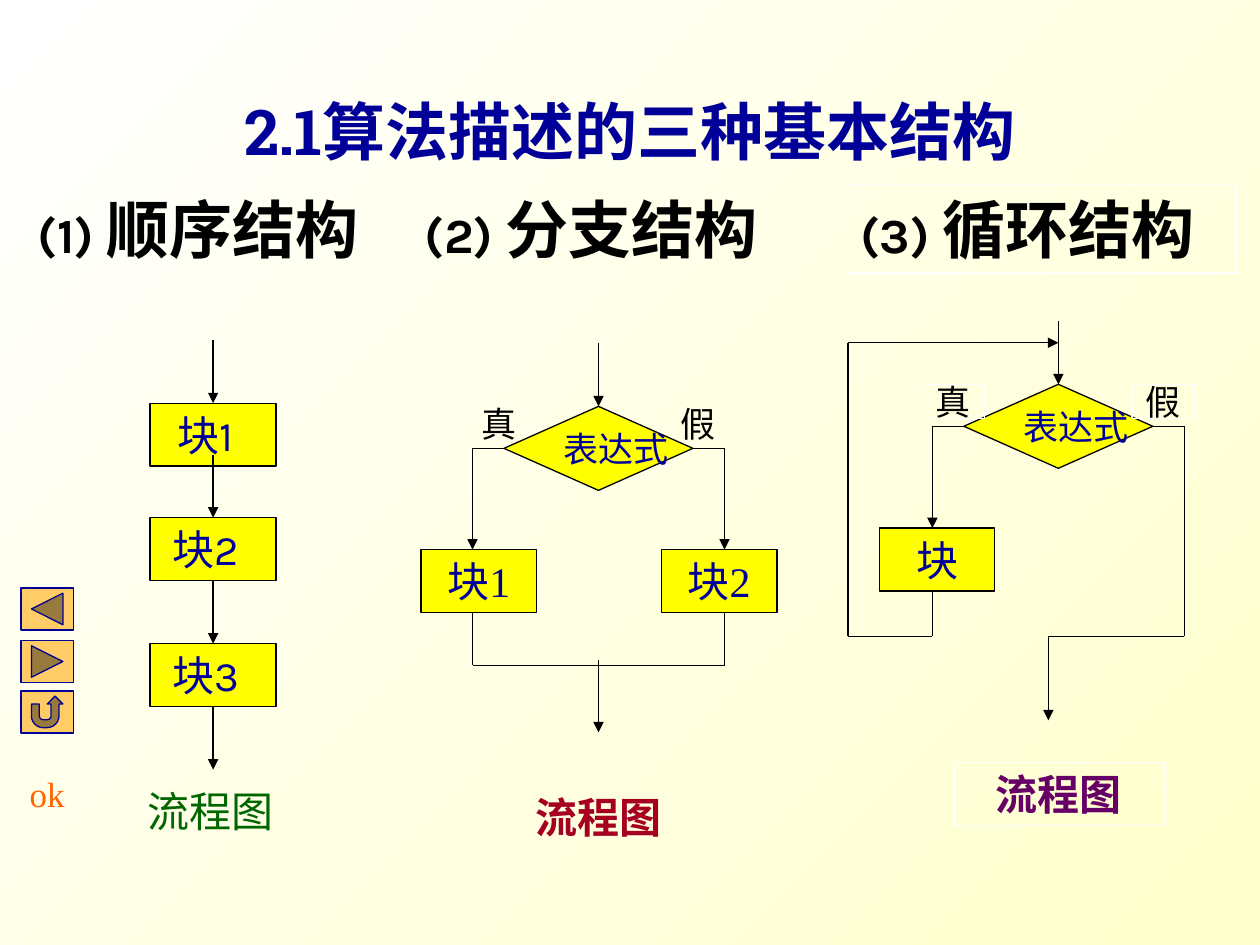
from pptx import Presentation
from pptx.dml.color import RGBColor
from pptx.enum.shapes import MSO_CONNECTOR, MSO_SHAPE
from pptx.enum.text import MSO_ANCHOR, MSO_AUTO_SIZE, PP_ALIGN
from pptx.oxml.ns import qn
from pptx.util import Inches, Pt
from lxml.etree import SubElement

CELL = 1 / 12  # inches; the page is a grid of 120 columns by 90 rows
NAVY, BLACK, WHITE, YELLOW = "000099", "000000", "FFFFFF", "FFFF00"
REGION_TOP = 17.6
BLOCK_HEIGHT = 6
BRANCH = 12  # columns from a region's axis to each branch
HALF_DIAMOND = 9


def cells(*counts):
    return [Inches(count * CELL) for count in counts]


def colour(value):
    return RGBColor.from_string(value)


def write(shape, text, size=24, font="Karla", ink=NAVY, bold=False, align=PP_ALIGN.CENTER,
          anchor=MSO_ANCHOR.MIDDLE, margins=(0.1, 0.05, 0.1, 0.05), wrap=True):
    """Fill a shape with one paragraph and return that paragraph."""
    frame = shape.text_frame
    frame.auto_size = MSO_AUTO_SIZE.NONE
    frame.word_wrap = wrap
    frame.vertical_anchor = anchor
    (frame.margin_left, frame.margin_top,
     frame.margin_right, frame.margin_bottom) = [Inches(margin) for margin in margins]
    para = frame.paragraphs[0]
    para.alignment = align
    add_span(para, text, size, font, ink, bold)
    return para


def add_span(para, text, size, font, ink, bold):
    span = para.add_run()
    span.text = text
    span.font.size = Pt(size)
    span.font.name = font
    span.font.bold = bold
    span.font.color.rgb = colour(ink)


def add_preset(page, kind, box, fill=None, line=BLACK):
    shape = page.shapes.add_shape(kind, *cells(*box))
    shape.shadow.inherit = False
    if fill:
        shape.fill.solid()
        shape.fill.fore_color.rgb = colour(fill)
    else:
        shape.fill.background()
    shape.line.color.rgb = colour(line)
    shape.line.width = Pt(0.75)
    return shape


def add_label(page, box, outlined=False):
    if outlined:
        return add_preset(page, MSO_SHAPE.RECTANGLE, box, line=WHITE)
    return page.shapes.add_textbox(*cells(*box))


def add_wire(page, *points, arrow=False):
    """Join points with straight connectors; the last may end in an arrowhead."""
    for index, (start, end) in enumerate(zip(points, points[1:]), 2):
        wire = page.shapes.add_connector(MSO_CONNECTOR.STRAIGHT, *cells(*start, *end))
        wire.line.color.rgb = colour(BLACK)
        wire.line.width = Pt(0.75)
        if arrow and index == len(points):
            SubElement(wire.line._get_or_add_ln(), qn("a:tailEnd"), type="triangle")
        SubElement(wire._element.spPr, qn("a:effectLst"))


def add_heading(page, left, top, number, name, name_font="Karla", outlined=False):
    label = add_label(page, (left, top, 37, 8.4), outlined)
    para = write(label, f"({number}) ", size=28, ink=BLACK, bold=True,
                 align=PP_ALIGN.LEFT, anchor=MSO_ANCHOR.TOP)
    add_span(para, name, 36, name_font, BLACK, True)


def add_caption(page, left, top, ink, bold=True, outlined=False):
    label = add_label(page, (left, top, 20, 6), outlined)
    write(label, "流程图", ink=ink, bold=bold, anchor=MSO_ANCHOR.TOP)


def add_block(page, left, top, text, width=11, **format):
    block = add_preset(page, MSO_SHAPE.RECTANGLE, (left, top, width, BLOCK_HEIGHT), YELLOW)
    write(block, text, **format)


def add_decision(page, axis, top):
    """Draw the incoming arrow and the diamond; return the row of its side corners."""
    add_wire(page, (axis, top - 6), (axis, top), arrow=True)
    diamond = add_preset(page, MSO_SHAPE.DIAMOND,
                         (axis - HALF_DIAMOND, top, 2 * HALF_DIAMOND, 8), YELLOW)
    write(diamond, "表达式", size=20, font="Times New Roman", align=PP_ALIGN.LEFT, wrap=False)
    return top + 4


def add_sequence(page, left, top):
    axis = left + 17.9
    add_heading(page, left, top, 1, "顺序结构", name_font="Noto Sans CJK JP")
    arrow_rows = [top + row for row in (14.8, 25.7, 37.7, 49.7)]
    for number, row in enumerate(arrow_rows[:-1], 1):
        add_block(page, axis - 6, row + 6, f"块{number}", width=12, margins=(0, 0, 0.12, 0))
    for row in arrow_rows:
        add_wire(page, (axis, row), (axis, row + 6), arrow=True)
    add_caption(page, left + 7.6, top + 56.6, "006600", bold=False)


def add_selection(page, left, top):
    axis = left + 17.75
    diamond_top, block_top, join = top + 21.1, top + 34.75, top + 45.75
    add_heading(page, left, top, 2, "分支结构")
    middle = add_decision(page, axis, diamond_top)
    branches = ((-1, "真", -13, "块1", -16.9), (1, "假", 6, "块2", 6))
    for side, answer, answer_shift, block, block_shift in branches:
        branch = axis + side * BRANCH
        add_wire(page, (axis + side * HALF_DIAMOND, middle), (branch, middle),
                 (branch, block_top), arrow=True)
        add_block(page, axis + block_shift, block_top, block,
                  font="Times New Roman", wrap=False)
        add_wire(page, (branch, block_top + BLOCK_HEIGHT), (branch, join))
        label = add_label(page, (axis + answer_shift, diamond_top - 1, 7, 5.25))
        write(label, answer, size=20, ink=BLACK, anchor=MSO_ANCHOR.TOP)
    add_wire(page, (axis - BRANCH, join), (axis + BRANCH, join))
    add_wire(page, (axis, join - 0.45), (axis, join + 6.4), arrow=True)
    add_caption(page, left + 7.75, top + 57.15, "A50021")


def add_loop(page, left, top):
    axis = left + 20.05
    diamond_top, block_top = top + 19, top + 32.7
    turn, entry, exit_column = top + 43, top + 15.05, axis - 0.95
    add_heading(page, left, top, 3, "循环结构", outlined=True)
    middle = add_decision(page, axis, diamond_top)
    body, skip = axis - BRANCH, axis + BRANCH
    add_wire(page, (axis - HALF_DIAMOND, middle), (body, middle), (body, block_top), arrow=True)
    add_block(page, axis - 17.05, block_top, "块", font="Times New Roman", wrap=False)
    add_wire(page, (body, block_top + BLOCK_HEIGHT), (body, turn), (left, turn),
             (left, entry), (axis, entry), arrow=True)
    add_wire(page, (axis + HALF_DIAMOND, middle), (skip, middle), (skip, turn),
             (exit_column, turn), (exit_column, turn + 8), arrow=True)
    for answer, shift in (("真", -13), ("假", 7)):
        label = add_label(page, (axis + shift, diamond_top, 6, 3.3), outlined=True)
        write(label, answer, size=20, font="Times New Roman", ink=BLACK,
              margins=(0, 0, 0, 0), wrap=False)
    add_caption(page, left + 10.1, top + 55, "660066", outlined=True)


def add_navigation(page, left, top):
    buttons = ((MSO_SHAPE.ACTION_BUTTON_BACK_OR_PREVIOUS, 0),
               (MSO_SHAPE.ACTION_BUTTON_FORWARD_OR_NEXT, 5),
               (MSO_SHAPE.ACTION_BUTTON_RETURN, 9.8))
    for kind, row in buttons:
        add_preset(page, kind, (left, top + row, 5, 4), "FFCC66", NAVY)
    label = add_label(page, (left - 1, top + 17, 7, 5.25))
    write(label, "ok", size=20, font="Times New Roman", ink="FF6600", anchor=MSO_ANCHOR.TOP)


def set_title(page, text, box):
    title = page.shapes.title
    title.left, title.top, title.width, title.height = cells(*box)
    write(title, text, size=36, font="Roboto Slab", bold=True, anchor=MSO_ANCHOR.BOTTOM)


def set_background(page):
    fill = page.background.fill
    fill.gradient()
    fill.gradient_angle = 315
    for stop, value in zip(fill.gradient_stops, (WHITE, "FFFFCC")):
        stop.color.rgb = colour(value)


def main():
    deck = Presentation()
    deck.slide_width, deck.slide_height = cells(120, 90)
    page = deck.slides.add_slide(deck.slide_layouts[5])
    set_background(page)
    set_title(page, "2.1算法描述的三种基本结构", (9, 8, 102, 8.6))
    add_navigation(page, 2, 56)
    add_sequence(page, 2.4, REGION_TOP)
    add_selection(page, 39.25, REGION_TOP)
    add_loop(page, 80.75, REGION_TOP)
    deck.save("out.pptx")


if __name__ == "__main__":
    main()
